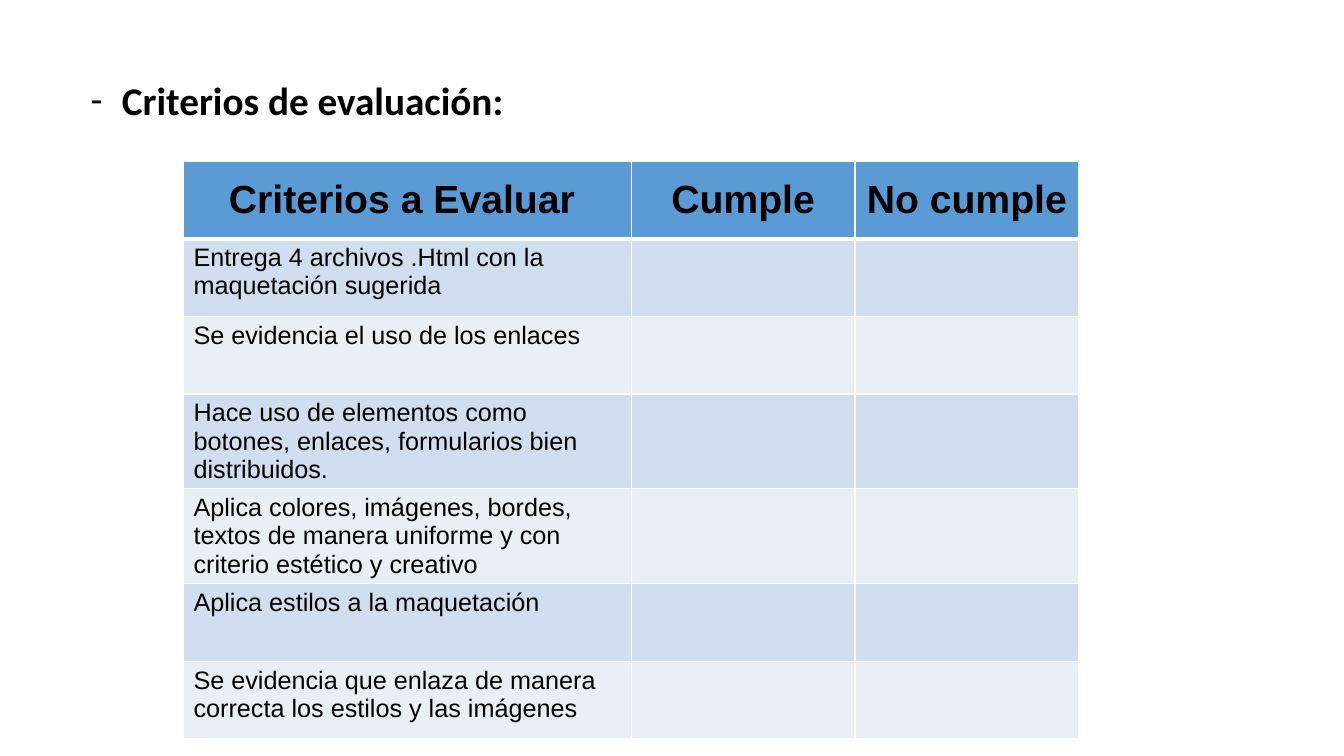
from dataclasses import dataclass

from lxml.etree import SubElement
from pptx import Presentation
from pptx.dml.color import RGBColor
from pptx.enum.text import MSO_ANCHOR, MSO_AUTO_SIZE, PP_ALIGN
from pptx.oxml import parse_xml
from pptx.oxml.ns import nsdecls, qn
from pptx.util import Inches, Pt


@dataclass(frozen=True)
class Theme:
    ink: str = "000000"
    head: str = "5B9BD5"
    bands: tuple = ("D0DEEF", "E9EFF7")
    rule: str = "FFFFFF"
    large: int = 28
    body: int = 18
    title: str = "Calibri"
    text: str = "Arial"


theme = Theme()


def style(para, face, size, bold):
    font = para.font
    font.name, font.size, font.bold = face, Pt(size), bold
    font.color.rgb = RGBColor.from_string(theme.ink)


def border(cell, widths):
    props = cell._tc.get_or_add_tcPr()
    for place, (side, width) in enumerate(widths.items()):
        props.insert(place, parse_xml(
            f'<a:ln{side} {nsdecls("a")} w="{Pt(width)}"><a:solidFill>'
            f'<a:srgbClr val="{theme.rule}"/></a:solidFill></a:ln{side}>'))


deck = Presentation()
deck.slide_width, deck.slide_height = Inches(13.33), Inches(7.5)
slide = deck.slides.add_slide(deck.slide_layouts[5])

# Title with a dash bullet
title = slide.shapes.title
title.left, title.top = Inches(0.8), Inches(0.71)
title.width, title.height = Inches(4.44), Inches(0.57)
frame = title.text_frame
frame.text = "Criterios de evaluación:"
frame.word_wrap = True
frame.auto_size = MSO_AUTO_SIZE.NONE
frame.vertical_anchor = MSO_ANCHOR.TOP
para = frame.paragraphs[0]
para.alignment = PP_ALIGN.LEFT
style(para, theme.title, theme.large, True)
props = para._p.get_or_add_pPr()
props.set("marL", str(Inches(0.31)))
props.set("indent", str(Inches(-0.31)))
tint = SubElement(props, qn("a:buClr"))
SubElement(tint, qn("a:srgbClr"), val=theme.ink)
SubElement(props, qn("a:buFont"), typeface=theme.title)
SubElement(props, qn("a:buChar"), char="-")
# The dash stays regular because the bold sits on the run
para.font.bold = False
para.runs[0].font.bold = True

# Table of criteria
heads = ["Criterios a Evaluar ", "Cumple", "No cumple"]
items = [
    "Entrega 4 archivos .Html con la maquetación sugerida",
    "Se evidencia el uso de los enlaces",
    "Hace uso de elementos como botones, enlaces, formularios bien distribuidos.",
    "Aplica colores, imágenes, bordes, textos de manera uniforme y con criterio estético y creativo",
    "Aplica estilos a la maquetación",
    "Se evidencia que enlaza de manera correcta los estilos y las imágenes",
]
rows = [heads] + [[item, "", ""] for item in items]
widths = [4.44, 2.22, 2.22]
high = 0.77
table = slide.shapes.add_table(
    len(rows), len(heads), Inches(1.82), Inches(1.6),
    Inches(sum(widths)), Inches(high * len(rows))).table
for column, width in zip(table.columns, widths):
    column.width = Inches(width)

for r, row in enumerate(rows):
    table.rows[r].height = Inches(high)
    top = r == 0
    fill = theme.head if top else theme.bands[(r - 1) % 2]
    for c, text in enumerate(row):
        cell = table.cell(r, c)
        cell.text = text
        cell.fill.solid()
        cell.fill.fore_color.rgb = RGBColor.from_string(fill)
        cell.vertical_anchor = MSO_ANCHOR.MIDDLE if top else MSO_ANCHOR.TOP
        para = cell.text_frame.paragraphs[0]
        para.alignment = PP_ALIGN.CENTER if top else PP_ALIGN.LEFT
        style(para, theme.text, theme.large if top else theme.body, top)
        border(cell, {"L": 1, "R": 1, "T": 3 if r == 1 else 1, "B": 3 if top else 1})

deck.save("out.pptx")
